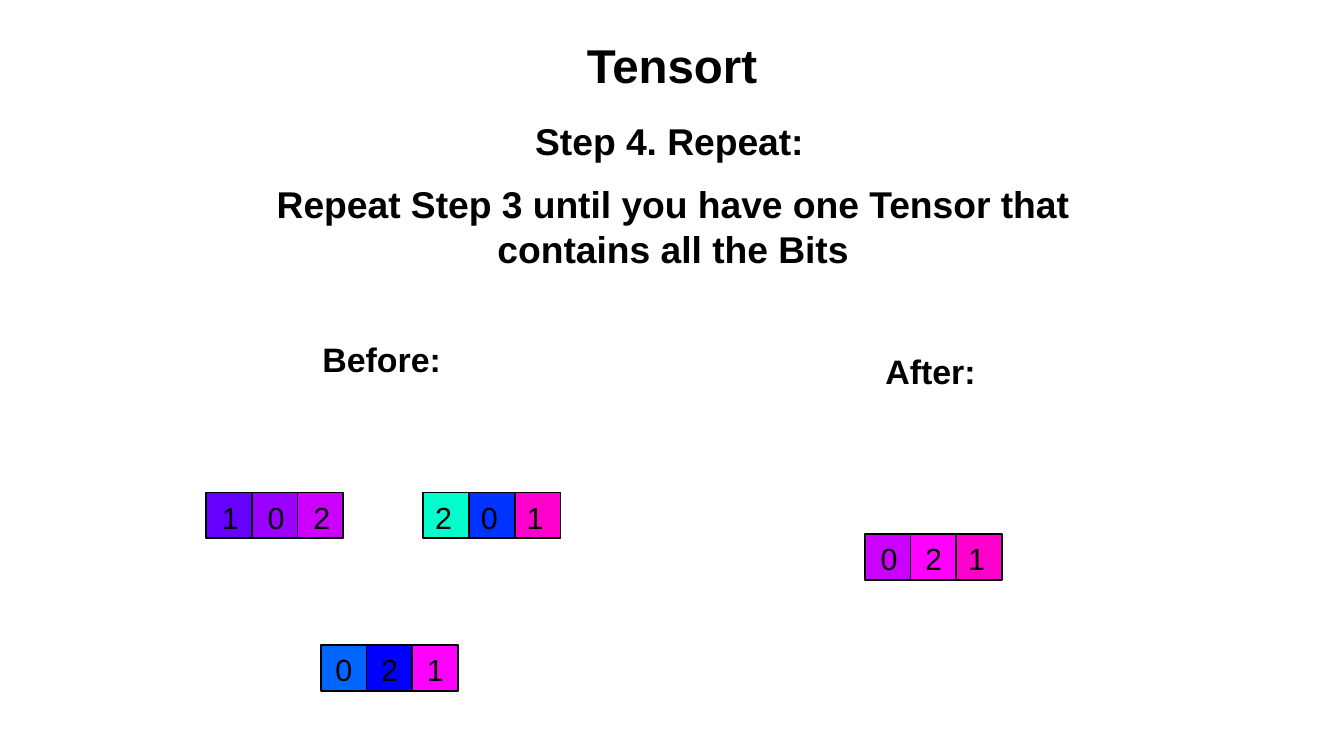
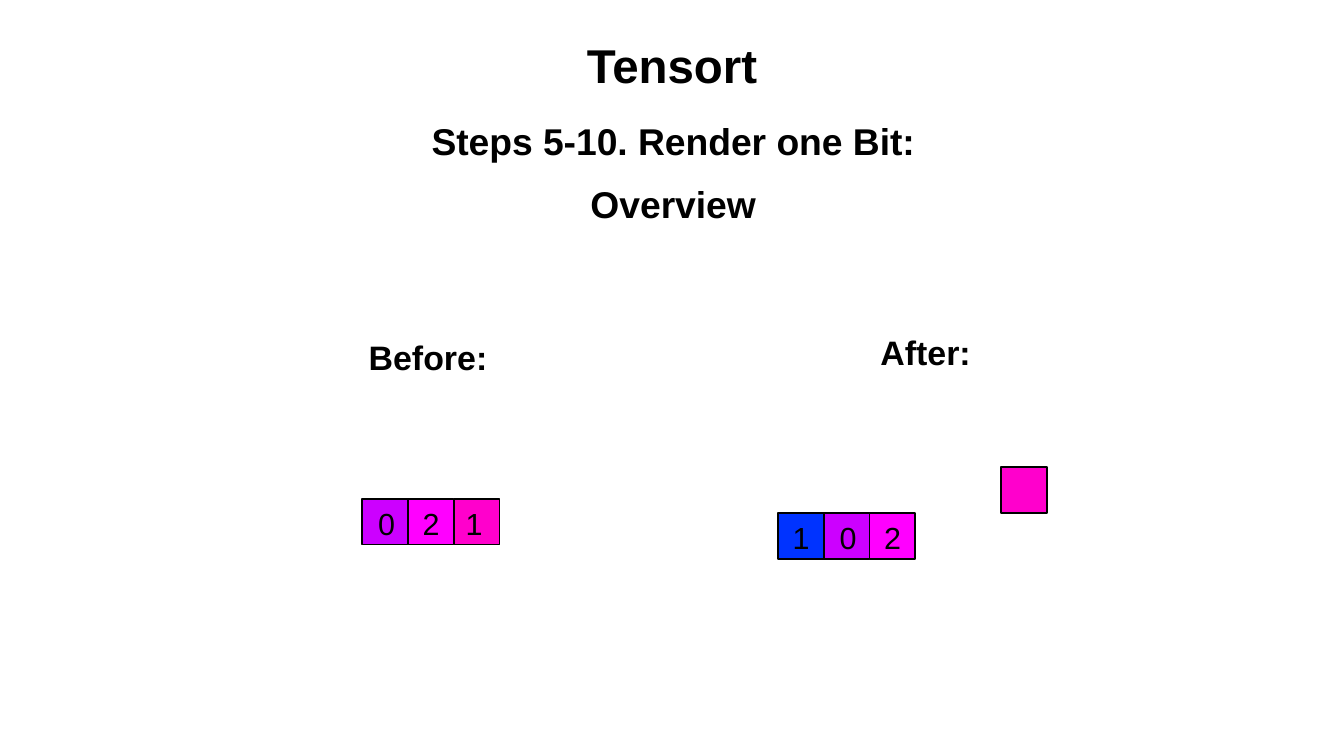
from pptx import Presentation
from pptx.dml.color import RGBColor
from pptx.enum import shapes, text
from pptx.util import Inches, Pt

FONT = "Arial"
BLACK = "000000"
VIOLET = "CC00FF"
MAGENTA = "FF00FF"
PINK = "FF00CC"
BLUE = "0033FF"
CELL = Inches(3) // 8
INSET = 0.1
HEAD_SIZE = (1.92, 0.75)


def rgb(value):
    return RGBColor.from_string(value)


def place(s, left, top, width, height):
    s.left, s.top = Inches(left), Inches(top)
    s.width, s.height = Inches(width), Inches(height)


def write(s, words, size, bold=True, align=text.PP_ALIGN.CENTER,
          anchor=text.MSO_ANCHOR.MIDDLE, insets=(0, 0, 0, 0)):
    tf = s.text_frame
    tf.word_wrap = True
    tf.auto_size = text.MSO_AUTO_SIZE.NONE
    tf.vertical_anchor = anchor
    tf.margin_left, tf.margin_top, tf.margin_right, tf.margin_bottom = map(Inches, insets)
    p = tf.paragraphs[0]
    p.alignment = align
    p.space_before = Pt(0)
    r = p.add_run()
    r.text = words
    r.font.name = FONT
    r.font.size = Pt(size)
    r.font.bold = bold
    r.font.color.rgb = rgb(BLACK)


def add_text(slide, box, words, size, **style):
    s = slide.shapes.add_textbox(*map(Inches, box))
    write(s, words, size, **style)


def add_bit(slide, left, top, fill):
    s = slide.shapes.add_shape(shapes.MSO_SHAPE.RECTANGLE, left, top, CELL, CELL)
    s.shadow.inherit = False
    s.fill.solid()
    s.fill.fore_color.rgb = rgb(fill)
    s.line.color.rgb = rgb(BLACK)
    s.line.width = Pt(1)
    return s


def add_tensor(slide, left, top, bits):
    for i, (digit, fill, shift) in enumerate(bits):
        s = add_bit(slide, Inches(left) + i * CELL, Inches(top), fill)
        write(s, digit, 18, bold=False, align=text.PP_ALIGN.LEFT,
              anchor=text.MSO_ANCHOR.TOP, insets=(INSET + shift, 0.05, 0, 0))


def add_step_slide(prs, step, step_left, detail, detail_height, before_at, after_at):
    slide = prs.slides.add_slide(prs.slide_layouts[0])
    title, before = slide.placeholders
    place(title, 0.55, 0.01, 9.92, 1.04)
    write(title, "Tensort", 28)
    place(before, *before_at, *HEAD_SIZE)
    write(before, "Before:", 20)
    add_text(slide, (*after_at, *HEAD_SIZE), "After:", 20)
    body = {"anchor": text.MSO_ANCHOR.TOP, "insets": (INSET, 0.05, INSET, 0.05)}
    add_text(slide, (step_left, 0.92, 5.96, 0.78), step, 22,
             align=text.PP_ALIGN.LEFT, **body)
    add_text(slide, (2.04, 1.44, 6.96, detail_height), detail, 22, **body)
    return slide


def main():
    prs = Presentation()
    prs.slide_width, prs.slide_height = Inches(11.02), Inches(6.2)
    top_tensor = [("0", VIOLET, 0.03), ("2", MAGENTA, 0.02), ("1", PINK, 0)]

    repeat = add_step_slide(
        prs, "Step 4. Repeat:", 4.29,
        "Repeat Step 3 until you have one Tensor that contains all the Bits", 0.81,
        (2.17, 2.57), (6.67, 2.67))
    add_tensor(repeat, 1.69, 4.04,
               [("1", "6600FF", 0.03), ("0", "9900FF", 0.03), ("2", VIOLET, 0.03)])
    add_tensor(repeat, 3.47, 4.04,
               [("2", "00FFCC", 0), ("0", BLUE, 0), ("1", PINK, 0)])
    add_tensor(repeat, 2.63, 5.29,
               [("0", "0066FF", 0.02), ("2", "0000FF", 0.02), ("1", MAGENTA, 0.02)])
    add_tensor(repeat, 7.09, 4.38, top_tensor)

    render = add_step_slide(
        prs, "Steps 5-10. Render one Bit:", 3.44, "Overview", 1.81,
        (2.55, 2.55), (6.63, 2.51))
    add_tensor(render, 2.97, 4.09, top_tensor)
    add_tensor(render, 6.38, 4.21,
               [("1", BLUE, 0.02), ("0", VIOLET, 0.03), ("2", MAGENTA, 0.02)])
    add_bit(render, Inches(8.21), Inches(3.83), PINK)

    prs.save("out.pptx")


if __name__ == "__main__":
    main()
